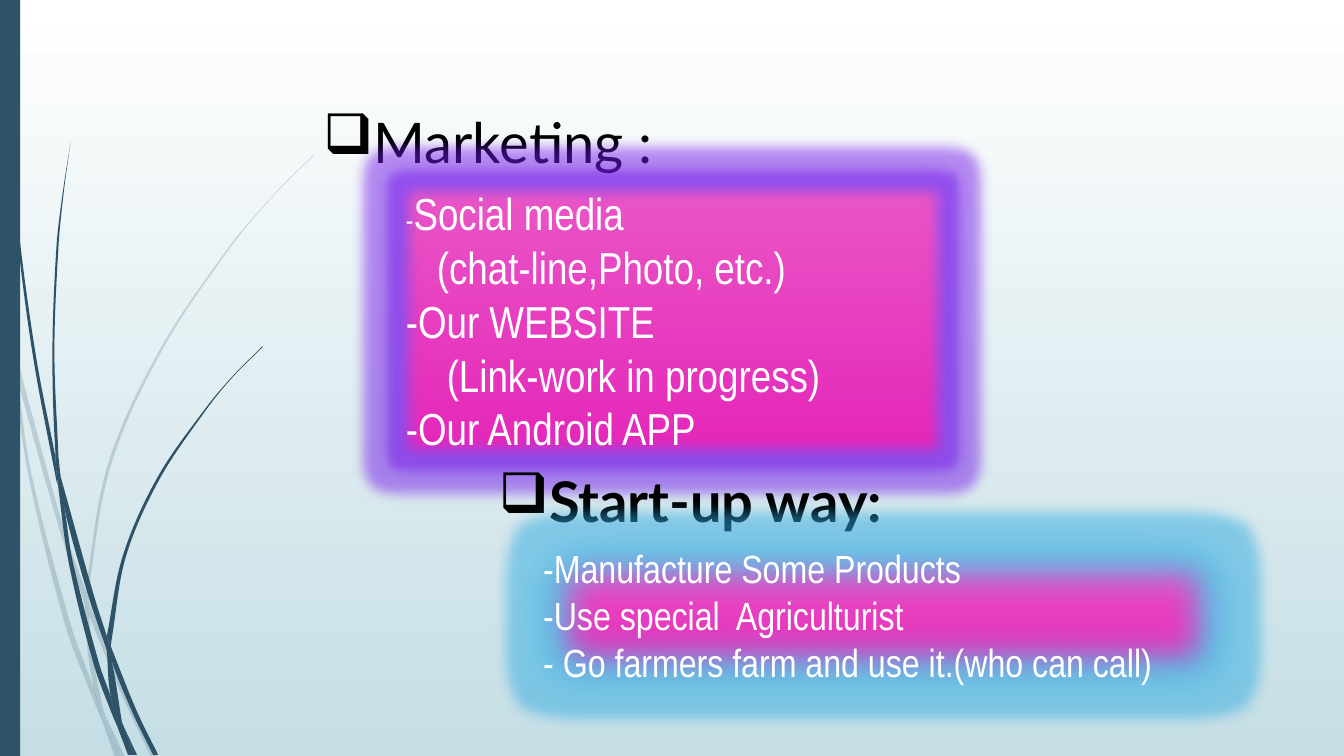
from math import hypot

from lxml import etree
from pptx import Presentation
from pptx.dml.color import RGBColor
from pptx.enum import shapes, text
from pptx.oxml import ns, parse_xml
from pptx.util import Cm, Pt

TEAL = "2E5369"
PALE_BLADES = [
    ([(0, 2.82), (.09, 3.22), (.11, 3.5)], [(.1, 3.44), (0, 2.99)]),
    ([(.14, 3.45), (.62, 5.2), (.85, 5.86)], [(.84, 5.99), (.58, 5.22), (.17, 3.76)]),
    ([(.88, 5.96), (.92, 6.07), (1.27, 6.92), (1.55, 7.51)],
     [(1.5, 7.51), (1.23, 6.94), (.88, 6.1)]),
    ([(1.05, 7.11), (1.24, 7.51)], [(1.19, 7.51)]),
    ([(.11, 3.5), (.17, 3.76), (.31, 4.69), (.7, 6.19), (.93, 6.83), (1.01, 7.14)],
     [(.92, 6.93), (.65, 6.21), (.28, 4.7), (.11, 3.5)]),
    ([(.84, 5.99), (.88, 6.08), (.91, 6.46), (1.03, 7.06), (1.05, 7.11)],
     [(.96, 6.92), (.93, 6.83), (.87, 6.46), (.84, 5.99)]),
    ([(3.12, 1.53), (2.89, 1.75), (2.68, 1.97), (2.28, 2.44), (1.58, 3.48),
      (1.07, 4.61), (.85, 5.84), (.85, 5.86)],
     [(.88, 5.96), (.88, 5.84), (1.1, 4.62), (1.6, 3.49), (2.29, 2.45),
      (2.68, 1.98), (2.9, 1.75), (3.12, 1.54)]),
    ([(1.01, 7.14), (1.14, 7.51)], [(1.19, 7.51)]),
    ([(.85, 5.86), (.84, 5.99), (.88, 6.08)], [(.88, 6.1), (.88, 5.96)]),
    ([(.93, 6.83), (.99, 7.07), (1.01, 7.14), (1.19, 7.51)], [(1.05, 7.11), (.96, 6.92)]),
]
DARK_BLADES = [
    ([(.03, 0), (.04, .48), (.07, 1.1), (.17, 2.33), (.33, 3.55), (.56, 4.77), (.57, 4.81)],
     [(.55, 4.53), (.36, 3.55), (.19, 2.32), (.08, 1.09), (.05, .48), (.04, 0)]),
    ([(.6, 4.72), (.64, 5.05), (.88, 5.92), (1.06, 6.45)],
     [(1.06, 6.31), (.93, 5.9), (.6, 4.72)]),
    ([(1.1, 6.41), (1.11, 6.56), (1.32, 7.08), (1.52, 7.49)],
     [(1.57, 7.49), (1.36, 7.06), (1.13, 6.49), (1.1, 6.41)]),
    ([(.57, 4.77), (.68, 5.57), (.93, 6.59), (1.11, 7.08), (1.17, 7.22)],
     [(1.1, 6.91), (.98, 6.57), (.72, 5.56), (.64, 5.05), (.57, 4.77)]),
    ([(.7, 1.41), (.62, 1.93), (.56, 2.45), (.52, 3.49), (.55, 4.49), (.6, 4.72)],
     [(.58, 4.53), (.54, 3.49), (.58, 2.45), (.63, 1.93), (.7, 1.41)]),
    ([(1.22, 7.19), (1.36, 7.49)], [(1.33, 7.49)]),
    ([(.55, 4.49), (.55, 4.53), (.57, 4.77), (.64, 5.05)], [(.6, 4.72), (.55, 4.49)]),
    ([(2.6, 3.44), (2.31, 3.73), (2.04, 4.05), (1.56, 4.74), (1.22, 5.51), (1.06, 6.31)],
     [(1.1, 6.41), (1.11, 6.33), (1.25, 5.52), (1.58, 4.76), (2.05, 4.06),
      (2.31, 3.74), (2.61, 3.44)]),
    ([(1.17, 7.22), (1.27, 7.49)], [(1.31, 7.49)]),
    ([(1.06, 6.45), (1.1, 6.91), (1.22, 7.19)],
     [(1.21, 7.16), (1.11, 6.56), (1.06, 6.45)]),
    ([(1.06, 6.31), (1.06, 6.45), (1.11, 6.56)], [(1.1, 6.41), (1.06, 6.31)]),
    ([(1.1, 6.91), (1.17, 7.22), (1.3, 7.49)], [(1.33, 7.49), (1.22, 7.19), (1.1, 6.91)]),
]


def color(value):
    return RGBColor.from_string(value)


def fill_gradient(fill, top, bottom):
    fill.gradient()
    fill.gradient_angle = 270
    for stop, value, position in zip(fill.gradient_stops, (top, bottom), (0, 1)):
        stop.color.rgb = color(value)
        stop.position = position


def fill_plain(sp, value, opacity=100):
    sp.shadow.inherit = False
    sp.fill.solid()
    sp.fill.fore_color.rgb = color(value)
    sp.line.fill.background()
    if opacity < 100:
        clr = sp._element.spPr.find(".//" + ns.qn("a:srgbClr"))
        etree.SubElement(clr, ns.qn("a:alpha")).set("val", str(opacity * 1000))


def handle(edge, i, reach):
    (x0, y0), (x1, y1) = edge[max(i - 1, 0)], edge[min(i + 1, len(edge) - 1)]
    scale = reach / 3 / (hypot(x1 - x0, y1 - y0) or 1)
    return (x1 - x0) * scale, (y1 - y0) * scale


def bend_edge(edge, lines):
    for i, line in enumerate(lines):
        (ax, ay), (bx, by) = edge[i:i + 2]
        reach = hypot(bx - ax, by - ay)
        (ux, uy), (vx, vy) = handle(edge, i, reach), handle(edge, i + 1, reach)
        line.tag = ns.qn("a:cubicBezTo")
        for n, (x, y) in enumerate(((ax + ux, ay + uy), (bx - vx, by - vy))):
            pt = etree.Element(ns.qn("a:pt"), x=str(round(x)), y=str(round(y)))
            line.insert(n, pt)


def add_blade(group, edges, opacity):
    outline = [(Cm(x * 2.54), Cm(y * 2.54)) for edge in edges for x, y in edge]
    builder = group.shapes.build_freeform(*outline[0])
    builder.add_line_segments(outline[1:], close=True)
    sp = builder.convert_to_shape()
    fill_plain(sp, TEAL, opacity)
    lines = list(sp._element.spPr.iter(ns.qn("a:lnTo")))
    left, top = min(x for x, y in outline), min(y for x, y in outline)
    points = [(x - left, y - top) for x, y in outline]
    split = len(edges[0])
    bend_edge(points[:split], lines[:split - 1])
    bend_edge(points[split:], lines[split:len(points) - 1])


def add_run(p, words, size=32, font="Arial Narrow", fore="FFFFFF", bold=False):
    r = p.add_run()
    r.text = words
    r.font.size = Pt(size)
    r.font.name = font
    r.font.color.rgb = color(fore)
    r.font.bold = bold


def add_heading(slide, words, left, top, width, indent, bold=False):
    sp = slide.shapes.add_textbox(Cm(left), Cm(top), Cm(width), Cm(1.96))
    tf = sp.text_frame
    tf.word_wrap = True
    p = tf.paragraphs[0]
    pPr = p._p.get_or_add_pPr()
    pPr.set("marL", str(Cm(indent)))
    pPr.set("indent", str(-Cm(indent)))
    etree.SubElement(pPr, ns.qn("a:buFont")).set("typeface", "Wingdings")
    etree.SubElement(pPr, ns.qn("a:buChar")).set("char", "q")
    add_run(p, words, size=40, font="Lato", fore="000000", bold=bold)


def add_effects(sp, glow, soft):
    sp._element.spPr.append(parse_xml(
        f'<a:effectLst {ns.nsdecls("a")}>'
        f'<a:glow rad="{Cm(.64)}"><a:srgbClr val="{glow}">'
        '<a:alpha val="50000"/></a:srgbClr></a:glow>'
        f'<a:softEdge rad="{Cm(soft)}"/></a:effectLst>'))


def add_glow_box(slide, box, lines, glow, soft):
    sp = slide.shapes.add_shape(shapes.MSO_SHAPE.RECTANGLE, *map(Cm, box))
    fill_gradient(sp.fill, "EA58C6", "E424B9")
    sp.line.color.rgb = color("DE31B6")
    sp.line.width = Pt(.75)
    add_effects(sp, glow, soft)
    tf = sp.text_frame
    tf.word_wrap = True
    tf.vertical_anchor = text.MSO_ANCHOR.MIDDLE
    for i, (indent, runs) in enumerate(lines):
        p = tf.add_paragraph() if i else tf.paragraphs[0]
        p.alignment = text.PP_ALIGN.LEFT
        p._p.get_or_add_pPr().set("marL", str(Cm(indent)))
        for words, size in runs:
            add_run(p, words, size=size)


def main():
    prs = Presentation()
    prs.slide_width, prs.slide_height = Cm(33.87), Cm(19.05)
    slide = prs.slides.add_slide(prs.slide_layouts[6])
    fill_gradient(slide.background.fill, "FFFFFF", "C5DEE5")

    for blades, opacity in ((PALE_BLADES, 20), (DARK_BLADES, 100)):
        group = slide.shapes.add_group_shape()
        for edges in blades:
            add_blade(group, edges, opacity)
    bar = slide.shapes.add_shape(
        shapes.MSO_SHAPE.RECTANGLE, 0, 0, Cm(.51), prs.slide_height)
    fill_plain(bar, TEAL)

    add_heading(slide, "Marketing :", 7.9, 2.59, 11.05, .97)
    add_glow_box(slide, (9.98, 4.53, 13.92, 7.09), [
        (0, [("-", 20), ("Social media", 32)]),
        (.78, [("(chat-line,Photo, etc.)", 32)]),
        (0, [("-Our WEBSITE", 32)]),
        (1.03, [("(Link-work in progress)", 32)]),
        (0, [("-Our Android APP", 32)]),
    ], "7318E8", .32)
    add_heading(slide, "Start-up way:", 12.32, 11.63, 14.38, .79, bold=True)
    add_glow_box(slide, (13.44, 13.57, 17.63, 3.84), [
        (0, [("-Manufacture Some Products", 28)]),
        (0, [("-Use special  Agriculturist", 28)]),
        (0, [("- Go farmers farm and use it.(who can call)", 28)]),
    ], "30ACE2", .88)
    prs.save("out.pptx")


if __name__ == "__main__":
    main()
